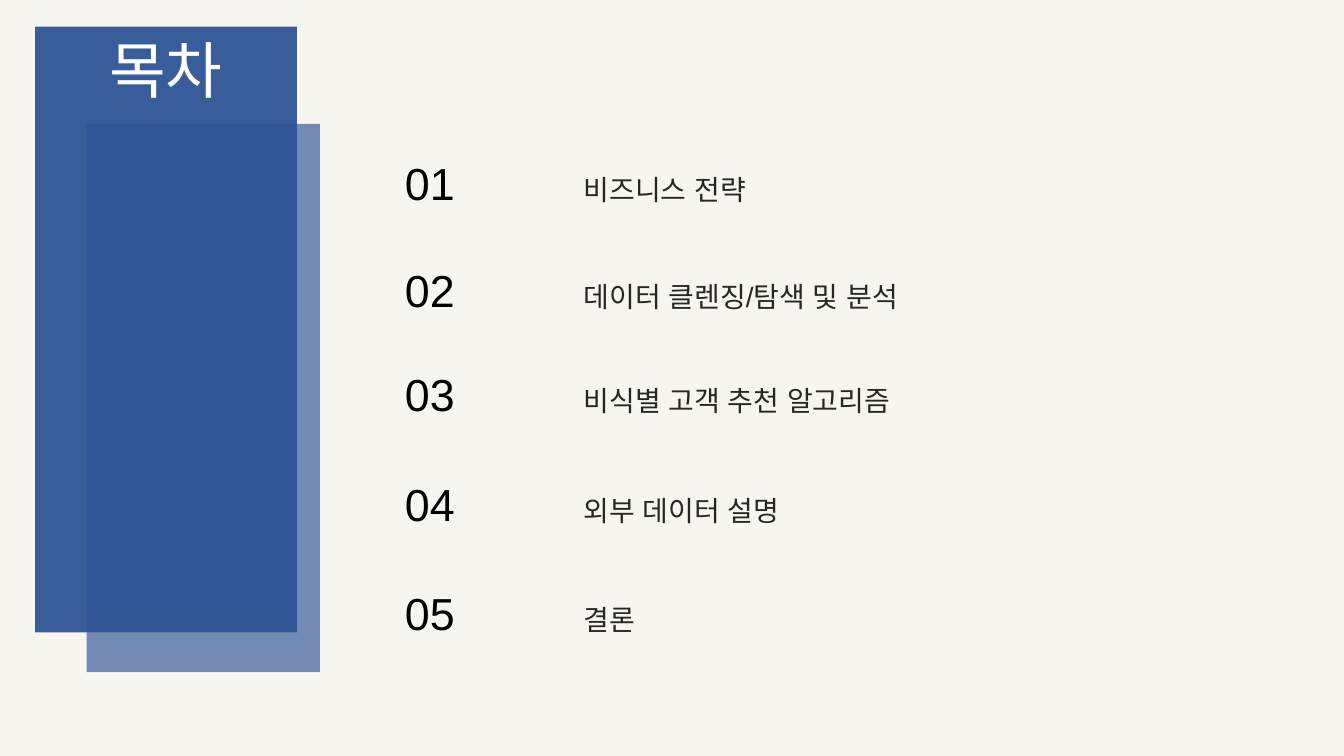
from dataclasses import dataclass

from lxml.etree import SubElement
from pptx import Presentation
from pptx.dml.color import RGBColor
from pptx.enum.shapes import MSO_SHAPE
from pptx.enum.text import MSO_ANCHOR, MSO_AUTO_SIZE, PP_ALIGN
from pptx.oxml.ns import qn
from pptx.shapes.base import BaseShape
from pptx.slide import Slide
from pptx.text.text import TextFrame
from pptx.util import Pt


@dataclass(frozen=True)
class TextStyle:
    font: str
    size: float
    color: str
    align: PP_ALIGN = PP_ALIGN.LEFT


@dataclass(frozen=True)
class Theme:
    background: str = "F6F5F0"
    panel: str = "2F5496"
    title: TextStyle = TextStyle("Noto Sans CJK KR", 33, "FFFFFF", PP_ALIGN.CENTER)
    number: TextStyle = TextStyle("Arial", 24, "000000")
    label: TextStyle = TextStyle("Arial", 15, "262626")


@dataclass(frozen=True)
class Box:
    left: float
    top: float
    width: float
    height: float


@dataclass(frozen=True)
class Entry:
    label: str
    top: float


THEME = Theme()
FRONT_PANEL = Box(18.8, 14.2, 140.3, 324.6)
BACK_PANEL = Box(46.4, 66.4, 125, 293.7)
NUMBER_LEFT, NUMBER_WIDTH, NUMBER_HEIGHT = 211.7, 234.7, 34.6
LABEL_LEFT, LABEL_WIDTH, LABEL_HEIGHT = 307.4, 319, 23.8
LABEL_DROP = 9.2
ENTRIES = [
    Entry("비즈니스 전략", 80.6),
    Entry("데이터 클렌징/탐색 및 분석", 138),
    Entry("비식별 고객 추천 알고리즘", 193.7),
    Entry("외부 데이터 설명", 252.6),
    Entry("결론", 311),
]


def place(sp: BaseShape, box: Box) -> None:
    sp.left, sp.top = Pt(box.left), Pt(box.top)
    sp.width, sp.height = Pt(box.width), Pt(box.height)


def fill_panel(sp: BaseShape, opacity: int) -> None:
    sp.fill.solid()
    sp.fill.fore_color.rgb = RGBColor.from_string(THEME.panel)
    clr = sp._element.spPr.find(qn("a:solidFill")).find(qn("a:srgbClr"))
    SubElement(clr, qn("a:alpha"), val=str(opacity * 1000))
    sp.line.fill.background()


def write(tf: TextFrame, text: str, style: TextStyle) -> None:
    tf.word_wrap = True
    tf.auto_size = MSO_AUTO_SIZE.NONE
    tf.vertical_anchor = MSO_ANCHOR.TOP
    tf.margin_left = tf.margin_right = Pt(5.3)
    tf.margin_top = tf.margin_bottom = Pt(2.7)
    p = tf.paragraphs[0]
    p.text = text
    p.alignment = style.align
    p.line_spacing = 1.0
    p.space_before = Pt(0)
    p.font.name = style.font
    p.font.size = Pt(style.size)
    p.font.color.rgb = RGBColor.from_string(style.color)
    SubElement(p._p.pPr.find(qn("a:defRPr")), qn("a:ea"), typeface=style.font)


def add_text(s: Slide, box: Box, text: str, style: TextStyle) -> None:
    sp = s.shapes.add_textbox(Pt(box.left), Pt(box.top), Pt(box.width), Pt(box.height))
    write(sp.text_frame, text, style)


def add_entry(s: Slide, number: int, entry: Entry) -> None:
    number_box = Box(NUMBER_LEFT, entry.top, NUMBER_WIDTH, NUMBER_HEIGHT)
    label_box = Box(LABEL_LEFT, entry.top + LABEL_DROP, LABEL_WIDTH, LABEL_HEIGHT)
    add_text(s, number_box, f"{number:02}", THEME.number)
    add_text(s, label_box, entry.label, THEME.label)


def main() -> None:
    prs = Presentation()
    prs.slide_width, prs.slide_height = Pt(720), Pt(405)
    s = prs.slides.add_slide(prs.slide_layouts[5])
    s.background.fill.solid()
    s.background.fill.fore_color.rgb = RGBColor.from_string(THEME.background)

    title = s.shapes.title
    place(title, FRONT_PANEL)
    fill_panel(title, 95)
    write(title.text_frame, "목차", THEME.title)

    panel = s.shapes.add_shape(MSO_SHAPE.RECTANGLE, 0, 0, 0, 0)
    place(panel, BACK_PANEL)
    panel.shadow.inherit = False
    fill_panel(panel, 66)

    for number, entry in enumerate(ENTRIES, start=1):
        add_entry(s, number, entry)

    prs.save("out.pptx")


if __name__ == "__main__":
    main()
